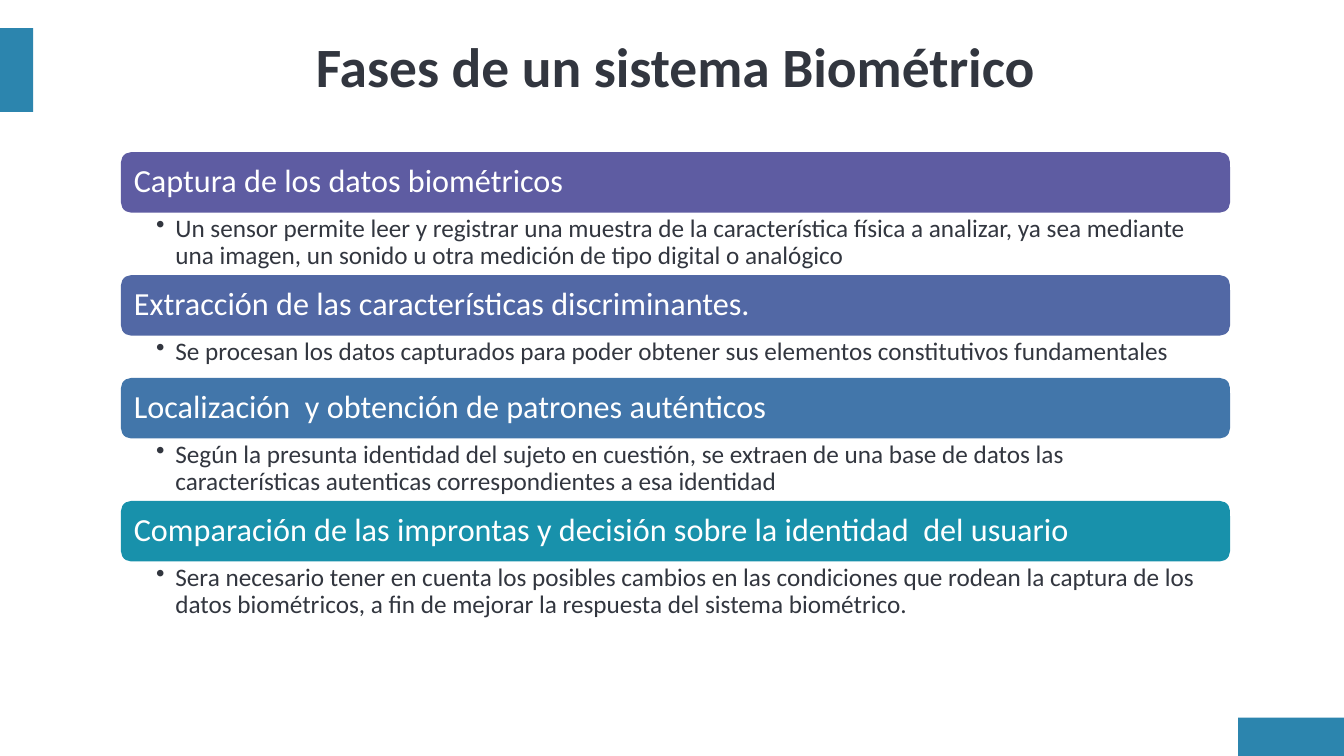
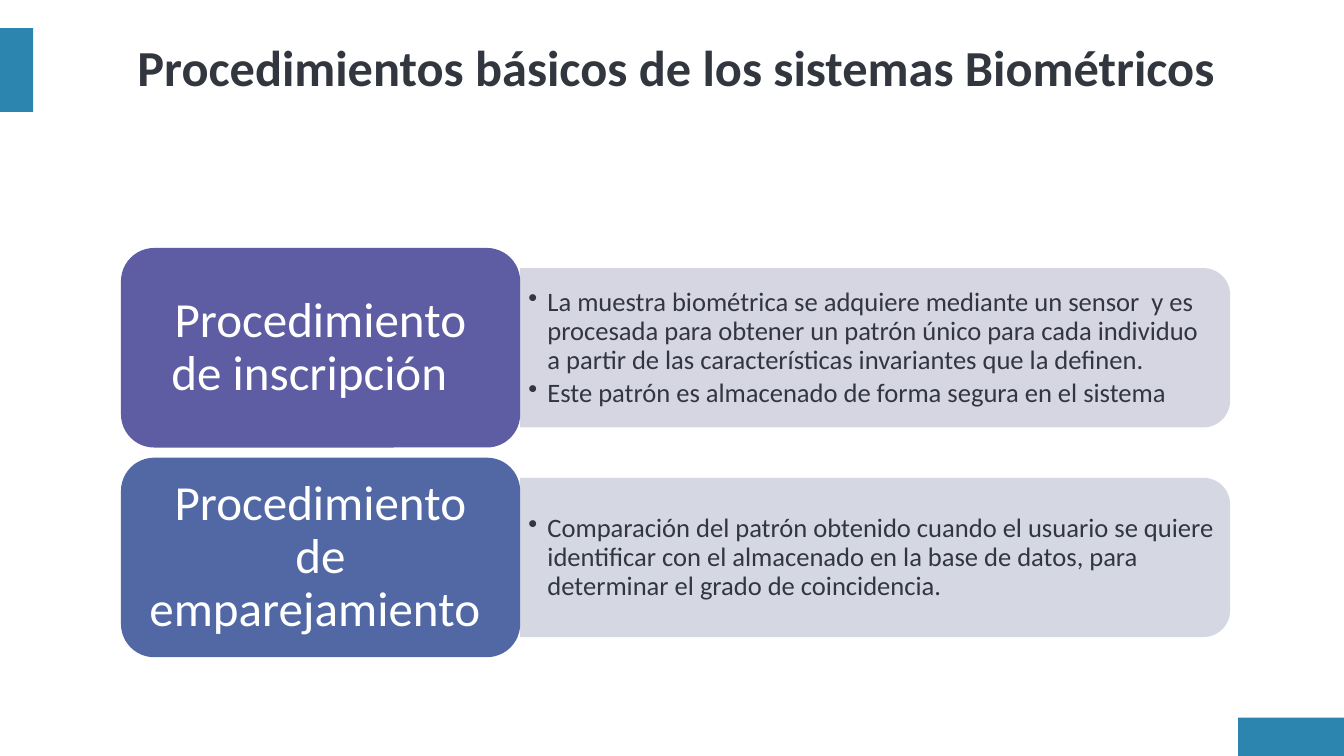
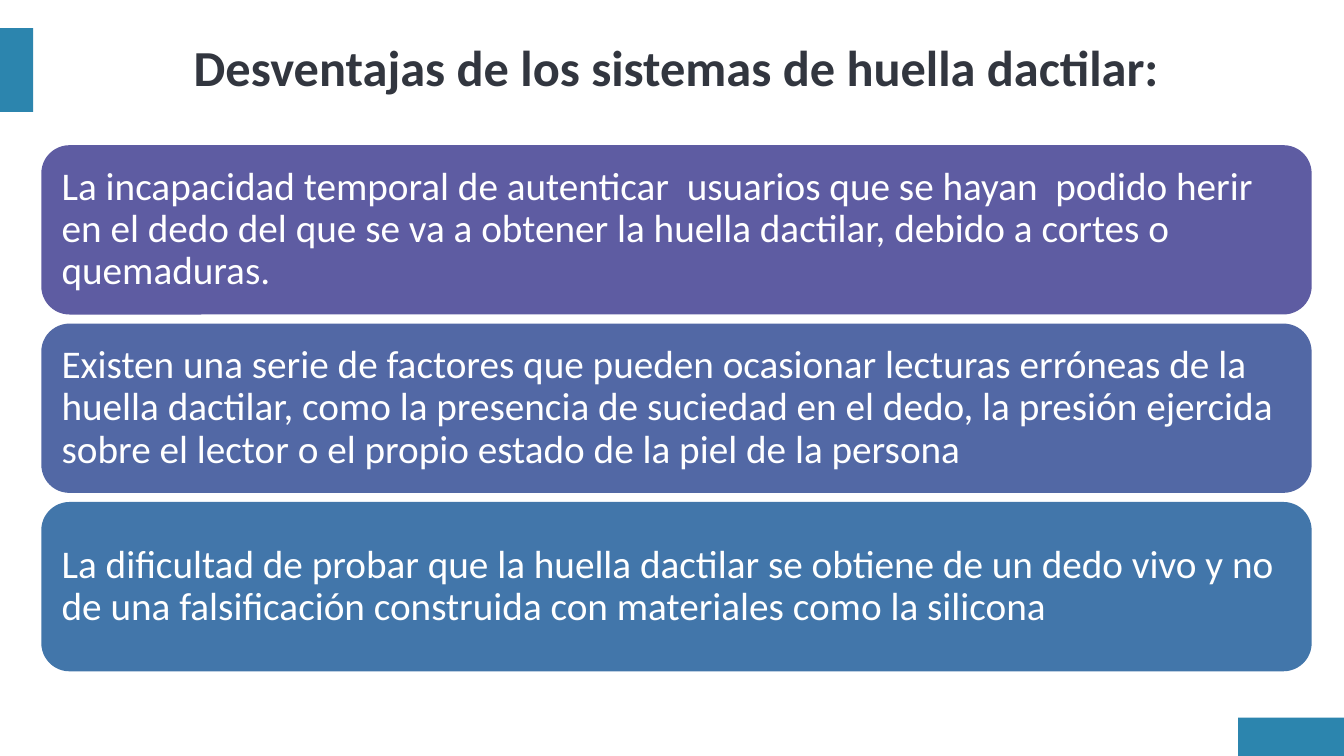
from dataclasses import dataclass

from lxml.etree import SubElement
from pptx import Presentation
from pptx.dml.color import RGBColor
from pptx.enum.shapes import MSO_SHAPE as Preset
from pptx.enum.text import MSO_ANCHOR as Anchor, PP_ALIGN as Align
from pptx.oxml.ns import qn
from pptx.util import Inches, Pt

# Shared style
FONT = "Calibri"
INK = RGBColor(0x32, 0x36, 0x3F)
WHITE = RGBColor(0xFF, 0xFF, 0xFF)
TEAL = RGBColor(0x2C, 0x85, 0xAE)
ACCENTS = [
    RGBColor(0x5E, 0x5C, 0xA2),
    RGBColor(0x52, 0x68, 0xA5),
    RGBColor(0x42, 0x76, 0xAA),
    RGBColor(0x18, 0x91, 0xAB),
]
PANEL_TINTS = [RGBColor(0xD2, 0xD2, 0xE0), RGBColor(0xD1, 0xD4, 0xE1)]
BULLET_INDENT = Inches(0.19)


@dataclass(frozen=True)
class Box:
    """Left, top, width and height in inches."""

    left: float
    top: float
    width: float
    height: float

    def lengths(self):
        return [Inches(n) for n in (self.left, self.top, self.width, self.height)]


@dataclass(frozen=True)
class Phase:
    heading: str
    detail: str
    detail_height: float


@dataclass(frozen=True)
class Procedure:
    name: str
    points: list[str]


WIDE_TITLE = Box(0.41, 0.28, 12.6, 0.83)
CORNER_BANDS = [Box(12.28, 7.12, 1.05, 0.38), Box(0, 0.28, 0.33, 0.83)]

PHASES = [
    Phase(
        "Captura de los datos biométricos",
        "Un sensor permite leer y registrar una muestra de la característica física a analizar, "
        "ya sea mediante una imagen, un sonido u otra medición de tipo digital o analógico",
        0.62,
    ),
    Phase(
        "Extracción de las características discriminantes.",
        "Se procesan los datos capturados para poder obtener sus elementos constitutivos fundamentales",
        0.42,
    ),
    Phase(
        "Localización  y obtención de patrones auténticos",
        "Según la presunta identidad del sujeto en cuestión, se extraen de una base de datos las "
        "características autenticas correspondientes a esa identidad",
        0.62,
    ),
    Phase(
        "Comparación de las improntas y decisión sobre la identidad  del usuario",
        "Sera necesario tener en cuenta los posibles cambios en las condiciones que rodean la captura "
        "de los datos biométricos, a fin de mejorar la respuesta del sistema biométrico.",
        0.96,
    ),
]
PROCEDURES = [
    Procedure(
        "Procedimiento de inscripción  ",
        [
            "La muestra biométrica se adquiere mediante un sensor  y es procesada para obtener un patrón "
            "único para cada individuo a partir de las características invariantes que la definen.",
            "Este patrón es almacenado de forma segura en el sistema",
        ],
    ),
    Procedure(
        "Procedimiento de emparejamiento ",
        [
            "Comparación del patrón obtenido cuando el usuario se quiere identificar con el almacenado "
            "en la base de datos, para determinar el grado de coincidencia.",
        ],
    ),
]
DRAWBACKS = [
    "La incapacidad temporal de autenticar  usuarios que se hayan  podido herir en el dedo del que "
    "se va a obtener la huella dactilar, debido a cortes o quemaduras.",
    "Existen una serie de factores que pueden ocasionar lecturas erróneas de la huella dactilar, como "
    "la presencia de suciedad en el dedo, la presión ejercida sobre el lector o el propio estado de la "
    "piel de la persona",
    "La dificultad de probar que la huella dactilar se obtiene de un dedo vivo y no de una "
    "falsificación construida con materiales como la silicona",
]


def write_text(shape, *texts: str, size: float, color=WHITE, bold=False, align=Align.LEFT,
               anchor=Anchor.MIDDLE, margins=(0.1, 0.05, 0.1, 0.05), bullet=False) -> None:
    """Fill a shape with one paragraph per text; margins are left, top, right, bottom."""
    frame = shape.text_frame
    frame.word_wrap = True
    frame.vertical_anchor = anchor
    (frame.margin_left, frame.margin_top,
     frame.margin_right, frame.margin_bottom) = map(Inches, margins)
    for index, text in enumerate(texts):
        paragraph = frame.add_paragraph() if index else frame.paragraphs[0]
        paragraph.alignment = align
        paragraph.line_spacing = 0.9
        if index < len(texts) - 1:
            paragraph.space_after = Pt(3)
        run = paragraph.add_run()
        run.text = text
        run.font.name = FONT
        run.font.size = Pt(size)
        run.font.bold = bold
        run.font.color.rgb = color
        if bullet:
            add_bullet(paragraph)


def add_bullet(paragraph) -> None:
    paragraph.level = 1
    properties = paragraph._p.get_or_add_pPr()
    properties.set("marL", str(BULLET_INDENT))
    properties.set("indent", str(-BULLET_INDENT))
    SubElement(properties, qn("a:buChar")).set("char", "•")


def add_block(slide, preset, box: Box, color: RGBColor):
    shape = slide.shapes.add_shape(preset, *box.lengths())
    shape.shadow.inherit = False
    shape.fill.solid()
    shape.fill.fore_color.rgb = color
    shape.line.fill.background()
    return shape


def add_bullets(slide, box: Box, *texts: str, **text_format) -> None:
    write_text(slide.shapes.add_textbox(*box.lengths()), *texts,
               color=INK, bullet=True, **text_format)


def add_panel(slide, box: Box, color: RGBColor) -> None:
    """Translucent panel with its two right corners rounded."""
    upright = Box(box.left + (box.width - box.height) / 2,
                  box.top + (box.height - box.width) / 2, box.height, box.width)
    panel = add_block(slide, Preset.ROUND_2_SAME_RECTANGLE, upright, color)
    panel.rotation = 90
    fill_color = panel.element.spPr.find(qn("a:solidFill")).find(qn("a:srgbClr"))
    SubElement(fill_color, qn("a:alpha")).set("val", "90000")


def add_titled_slide(presentation, title: str, box: Box = WIDE_TITLE, size: float = 36):
    slide = presentation.slides.add_slide(presentation.slide_layouts[5])
    placeholder = slide.shapes.title
    (placeholder.left, placeholder.top,
     placeholder.width, placeholder.height) = box.lengths()
    write_text(placeholder, title, size=size, color=INK, bold=True, align=Align.CENTER)
    return slide


def move_bands_to_layout(slide) -> None:
    """Draw the corner bands once, on the layout that every slide uses."""
    for box in CORNER_BANDS:
        band = add_block(slide, Preset.RECTANGLE, box, TEAL)
        slide.slide_layout.shapes.element.append(band.element)


def draw_phases(slide) -> None:
    left, top, width, heading_height = 1.2, 1.51, 11, 0.6
    for phase, color in zip(PHASES, ACCENTS):
        heading = add_block(slide, Preset.ROUNDED_RECTANGLE,
                            Box(left, top, width, heading_height), color)
        write_text(heading, phase.heading, size=23, margins=(0.1,) * 4)
        top += heading_height
        add_bullets(slide, Box(left, top, width, phase.detail_height), phase.detail,
                    size=18, anchor=Anchor.TOP, margins=(0.35, 0.03, 0.18, 0.03))
        top += phase.detail_height


def draw_procedures(slide) -> None:
    left, first_top, pitch = 1.2, 2.46, 2.08
    label_width, label_height = 3.96, 1.98
    panel_left = left + label_width
    for index, procedure in enumerate(PROCEDURES):
        top = first_top + index * pitch
        add_panel(slide, Box(panel_left, top + 0.2, 7.04, 1.58), PANEL_TINTS[index])
        add_bullets(slide, Box(panel_left, top + 0.28, 6.96, 1.43), *procedure.points,
                    size=19, margins=(0.08, 0.04, 0.08, 0.04))
        label = add_block(slide, Preset.ROUNDED_RECTANGLE,
                          Box(left, top, label_width, label_height), ACCENTS[index])
        write_text(label, procedure.name, size=35, align=Align.CENTER,
                   margins=(0.15, 0.07, 0.15, 0.07))


def draw_drawbacks(slide) -> None:
    for index, drawback in enumerate(DRAWBACKS):
        card = add_block(slide, Preset.ROUNDED_RECTANGLE,
                         Box(0.41, 1.44 + index * 1.77, 12.6, 1.68), ACCENTS[index])
        write_text(card, drawback, size=28, margins=(0.12,) * 4)


def main() -> None:
    presentation = Presentation()
    presentation.slide_width = Inches(13.33)
    presentation.slide_height = Inches(7.5)

    # Phases
    slide = add_titled_slide(presentation, "Fases de un sistema Biométrico",
                             Box(1.2, 0.31, 11, 0.76), 39.6)
    move_bands_to_layout(slide)
    draw_phases(slide)

    # Procedures
    draw_procedures(add_titled_slide(
        presentation, "Procedimientos básicos de los sistemas Biométricos"))

    # Drawbacks
    draw_drawbacks(add_titled_slide(
        presentation, "Desventajas de los sistemas de huella dactilar:"))

    presentation.save("out.pptx")


if __name__ == "__main__":
    main()
